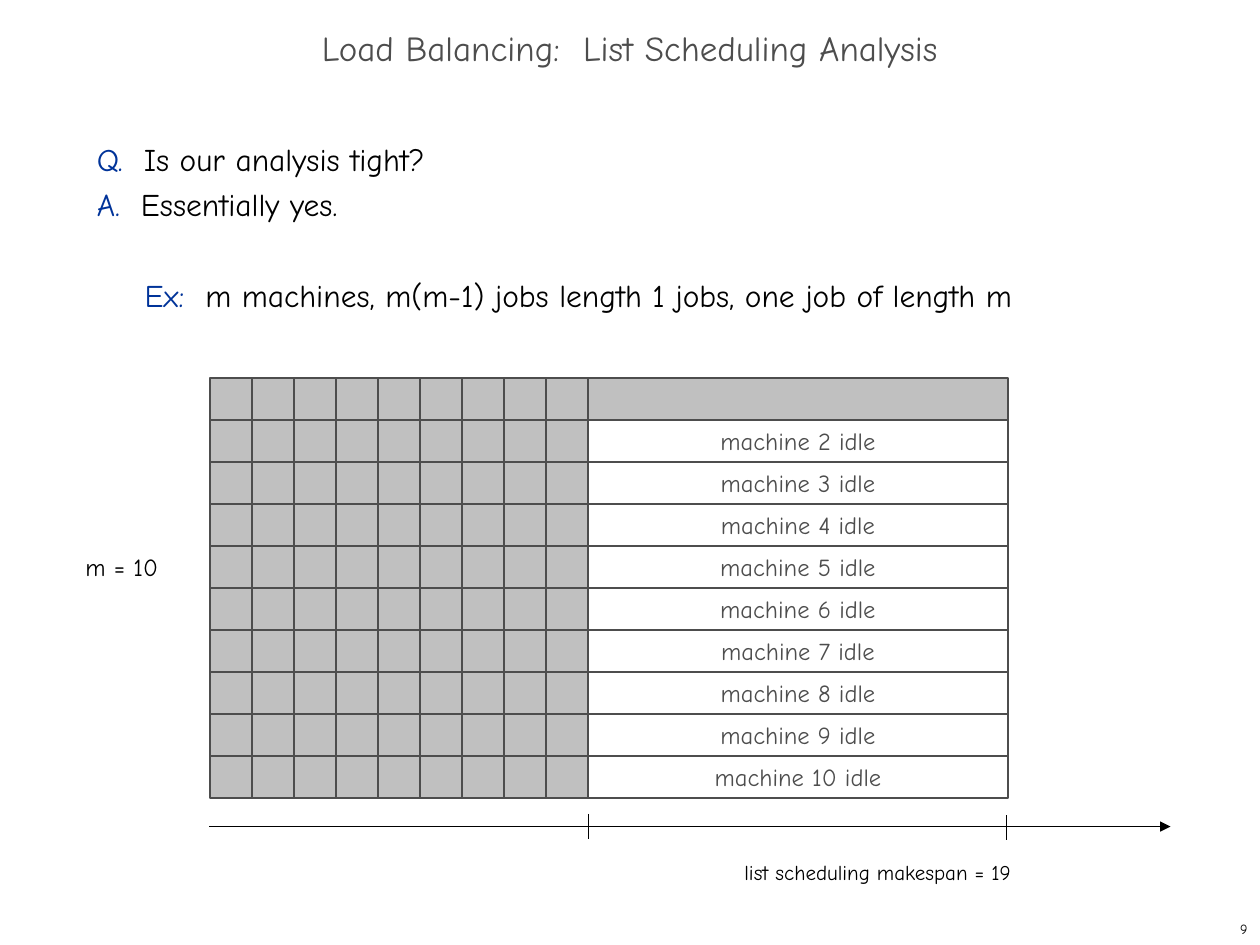
import dataclasses

import pptx
import pptx.dml.color
import pptx.enum.shapes
import pptx.enum.text
import pptx.oxml
import pptx.oxml.ns
import pptx.util

Inches = pptx.util.Inches
Pt = pptx.util.Pt
Align = pptx.enum.text.PP_ALIGN
Anchor = pptx.enum.text.MSO_ANCHOR


@dataclasses.dataclass(frozen=True)
class Theme:
    font: str = "Comic Neue"
    black: str = "000000"
    white: str = "FFFFFF"
    dark_gray: str = "4D4D4D"
    job_gray: str = "C0C0C0"
    blue: str = "003399"
    title_size: float = 20
    body_size: float = 18
    label_size: float = 14
    note_size: float = 12
    number_size: float = 8
    line_width: float = 0.75


def color(value):
    return pptx.dml.color.RGBColor.from_string(value)


def apply(target, values):
    for name, value in values.items():
        setattr(target, name, value)


class SlideBuilder:
    def __init__(self, slide, theme):
        self.slide = slide
        self.theme = theme

    def fill_paragraph(self, paragraph, runs, size, **values):
        """Add (text, color) runs to a paragraph and set its format."""
        apply(paragraph, values)
        for text, text_color in runs:
            run = paragraph.add_run()
            run.text = text
            apply(run.font, {"name": self.theme.font, "size": Pt(size)})
            run.font.color.rgb = color(text_color)

    def text_box(self, left, top, width, height, anchor=Anchor.TOP, wrap=True):
        shape = self.slide.shapes.add_textbox(
            Inches(left), Inches(top), Inches(width), Inches(height))
        apply(shape.text_frame, {"word_wrap": wrap, "vertical_anchor": anchor})
        return shape.text_frame

    def label(self, position, text, size, text_color, anchor=Anchor.TOP,
              wrap=True, **values):
        frame = self.text_box(*position, anchor=anchor, wrap=wrap)
        self.fill_paragraph(frame.paragraphs[0], [(text, text_color)], size,
                            **values)

    def job(self, left, top, width, height, fill, text=None):
        shape = self.slide.shapes.add_shape(
            pptx.enum.shapes.MSO_SHAPE.RECTANGLE,
            Inches(left), Inches(top), Inches(width), Inches(height))
        shape.shadow.inherit = False
        shape.fill.solid()
        shape.fill.fore_color.rgb = color(fill)
        shape.line.color.rgb = color(self.theme.dark_gray)
        shape.line.width = Pt(self.theme.line_width)
        if text:
            apply(shape.text_frame,
                  {"word_wrap": False, "vertical_anchor": Anchor.MIDDLE})
            self.fill_paragraph(shape.text_frame.paragraphs[0],
                                [(text, self.theme.dark_gray)],
                                self.theme.label_size, alignment=Align.CENTER)

    def line(self, start, end, arrow=False):
        connector = self.slide.shapes.add_connector(
            pptx.enum.shapes.MSO_CONNECTOR.STRAIGHT,
            *(Inches(value) for value in (*start, *end)))
        connector.line.color.rgb = color(self.theme.black)
        connector.line.width = Pt(self.theme.line_width)
        properties = connector._element.spPr
        if arrow:
            head = pptx.oxml.parse_xml(
                f'<a:tailEnd {pptx.oxml.ns.nsdecls("a")} type="triangle"/>')
            properties.find(pptx.oxml.ns.qn("a:ln")).append(head)
        properties.append(pptx.oxml.parse_xml(
            f'<a:effectLst {pptx.oxml.ns.nsdecls("a")}/>'))


def main():
    presentation = pptx.Presentation()
    presentation.slide_width = Inches(10)
    presentation.slide_height = Inches(7.5)
    theme = Theme()
    builder = SlideBuilder(
        presentation.slides.add_slide(presentation.slide_layouts[6]), theme)

    # Title
    builder.label((0, 0.17, 10, 0.5),
                  "Load Balancing:  List Scheduling Analysis",
                  theme.title_size, theme.dark_gray, anchor=Anchor.MIDDLE,
                  alignment=Align.CENTER, line_spacing=0.7)

    # Question, answer and indented example
    body = builder.text_box(0.67, 1, 8.58, 5.92)
    entries = [
        ("Q.  ", "Is our analysis tight?"),
        ("A.  ", "Essentially yes."),
        ("Ex:  ", "m machines, m(m-1) jobs length 1 jobs, one job of length m"),
    ]
    for index, (lead, text) in enumerate(entries):
        paragraph = body.paragraphs[0] if index == 0 else body.add_paragraph()
        builder.fill_paragraph(
            paragraph, [(lead, theme.blue), (text, theme.black)],
            theme.body_size, line_spacing=Pt(26))
    example = body.paragraphs[-1]
    example.space_before = Pt(26)
    example._p.get_or_add_pPr().set("marL", str(Inches(0.38)))

    # Schedule: unit jobs on every machine, then one long job on the first
    machines = 10
    unit = 1 / 3
    left, top = 5 * unit, 3
    long_left = left + (machines - 1) * unit
    for row in range(machines):
        row_top = top + row * unit
        for column in range(machines - 1):
            builder.job(left + column * unit, row_top, unit, unit,
                        theme.job_gray)
        fill = theme.white if row else theme.job_gray
        text = f"machine {row + 1} idle" if row else None
        builder.job(long_left, row_top, machines * unit, unit, fill, text)

    # Time axis with ticks
    builder.line((1.66, 6.56), (9.29, 6.56), arrow=True)
    for x, y in ((4.67, 6.46), (7.99, 6.47)):
        builder.line((x, y), (x, y + 0.2))

    # Labels and slide number
    builder.label((5.81, 6.77, 2.32, 0.3), "list scheduling makespan = 19",
                  theme.note_size, theme.black, wrap=False)
    builder.label((0.58, 4.33, 0.92, 0.33), "m = 10",
                  theme.label_size, theme.black)
    builder.label((7.92, 7.25, 2.08, 0.25), "9",
                  theme.number_size, theme.black, anchor=Anchor.MIDDLE,
                  alignment=Align.RIGHT)

    presentation.save("out.pptx")


if __name__ == "__main__":
    main()
